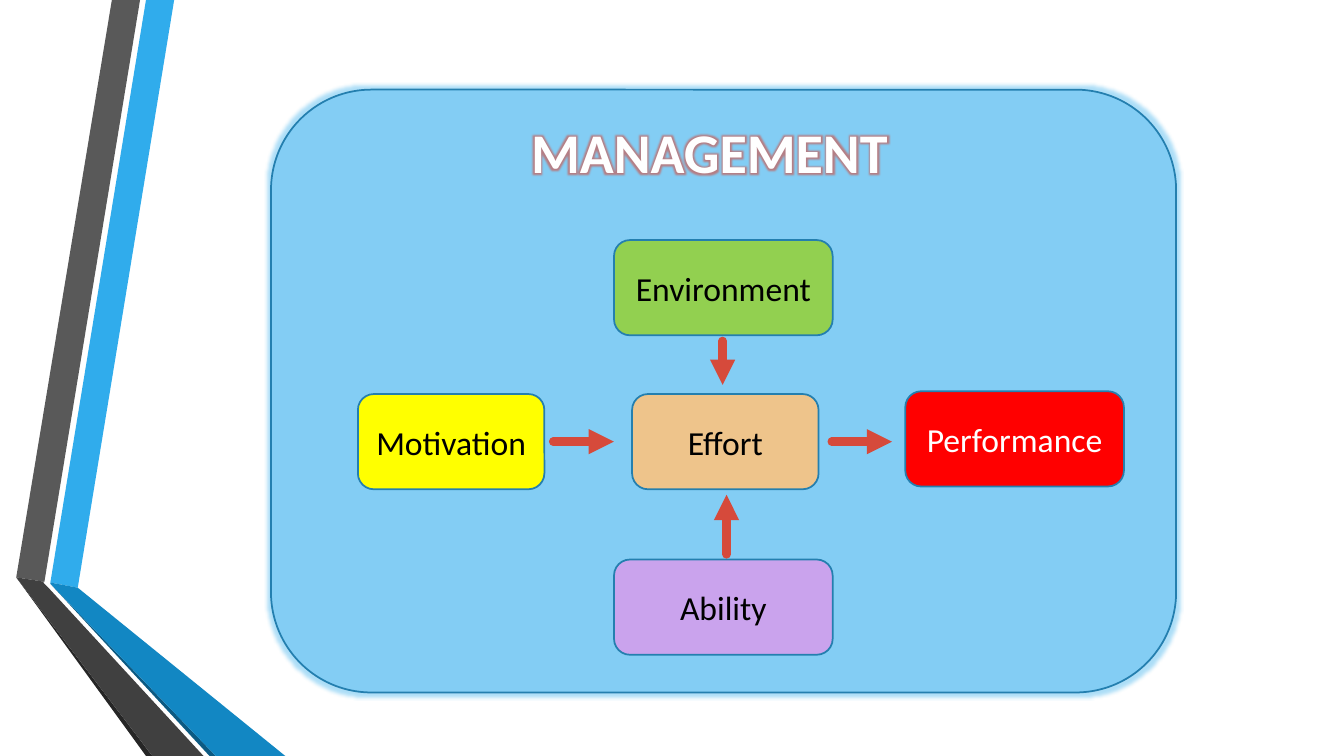
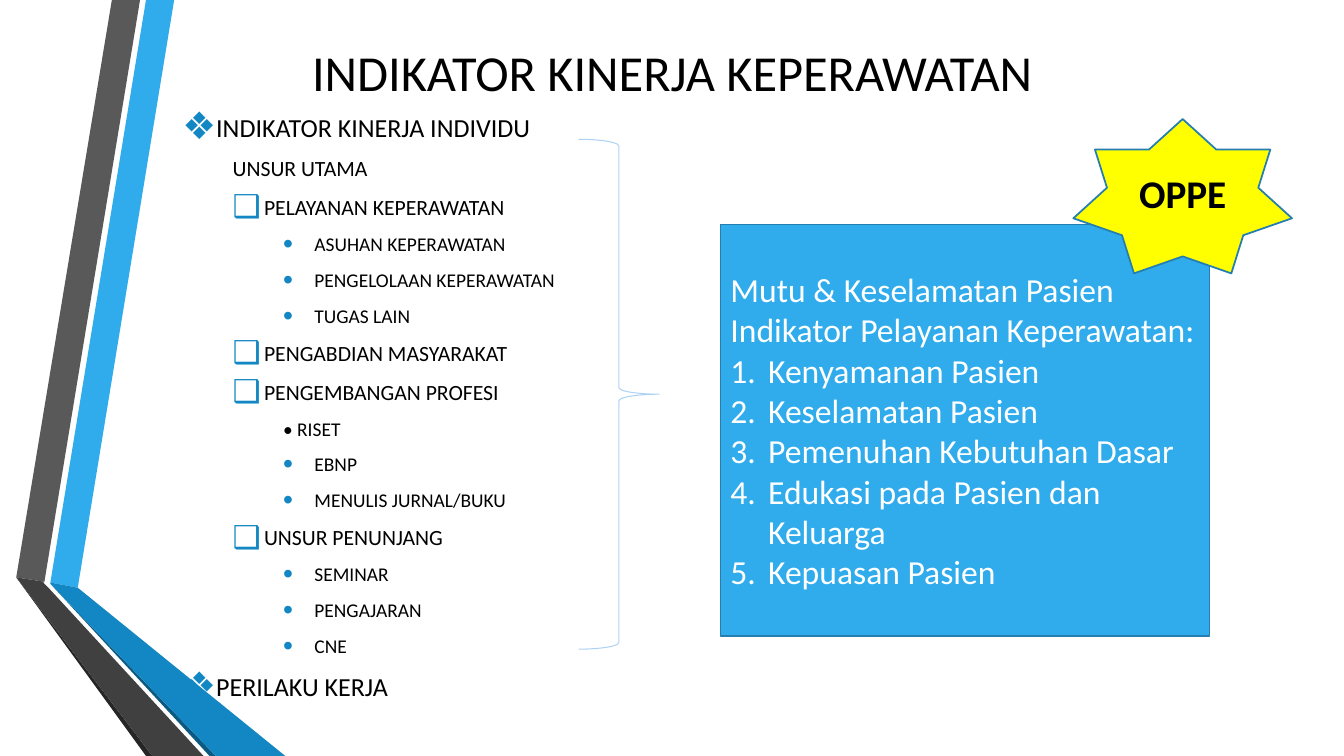
from dataclasses import dataclass

from pptx import Presentation
from pptx.dml.color import RGBColor
from pptx.enum.shapes import MSO_CONNECTOR, MSO_SHAPE
from pptx.enum.text import MSO_ANCHOR, MSO_AUTO_SIZE, PP_ALIGN
from pptx.oxml import parse_xml
from pptx.oxml.ns import nsdecls, qn
from pptx.util import Cm, Pt

ROUND, RECT = MSO_SHAPE.ROUNDED_RECTANGLE, MSO_SHAPE.RECTANGLE
BRACE, STAR = MSO_SHAPE.RIGHT_BRACE, MSO_SHAPE.STAR_7_POINT
STRAIGHT = MSO_CONNECTOR.STRAIGHT
MIDDLE, NO_FIT = MSO_ANCHOR.MIDDLE, MSO_AUTO_SIZE.NONE
LEFT, CENTER = PP_ALIGN.LEFT, PP_ALIGN.CENTER


@dataclass(frozen=True)
class Theme:
    font: str = "Calibri"
    black: str = "000000"
    white: str = "FFFFFF"
    blue: str = "30ACEC"
    deep: str = "1287C3"
    navy: str = "0C5A82"
    edge: str = "247FAF"
    panel: str = "83CDF4"
    brace: str = "AED2F4"
    gray: str = "595959"
    dark: str = "404040"
    coal: str = "262626"
    red: str = "FF0000"
    rust: str = "D64A3B"
    yellow: str = "FFFF00"
    green: str = "92D050"
    violet: str = "CAA3ED"
    sand: str = "EEC48B"
    banner: float = 40
    title: float = 36
    badge: float = 28
    label: float = 24
    levels: tuple = (18.6, 15.5, 13.9)


T = Theme()

BANDS = [
    (T.blue, [(1.27, 14.68), (1.96, 14.81), (4.39, 0), (3.68, 0)]),
    (T.gray, [(3.53, 0), (2.82, 0), (0.41, 14.55), (1.12, 14.66)]),
    (T.coal, [(0.41, 14.55), (3.68, 19.05), (3.84, 19.05)]),
    (T.navy, [(1.27, 14.71), (5.28, 19.05), (5.44, 19.05)]),
    (T.deep, [(1.27, 14.71), (5.44, 19.05), (7.19, 19.05),
              (1.96, 14.81), (1.27, 14.68)]),
    (T.dark, [(5.13, 19.05), (1.22, 14.81), (1.09, 14.68),
              (1.12, 14.66), (0.41, 14.55), (3.84, 19.05)]),
]

# Text, fill, text colour, centre and width within the panel
NODES = [
    ("Motivation", T.yellow, T.black, 4.54, 8.87, 4.7),
    ("Environment", T.green, T.black, 11.4, 4.99, 5.51),
    ("Ability", T.violet, T.black, 11.4, 13.04, 5.51),
    ("Effort", T.sand, T.black, 11.45, 8.87, 4.7),
    ("Performance", T.red, T.white, 18.74, 8.8, 5.51),
]
NODE_H = 2.4

# Start and end within the panel
ARROWS = [
    (11.38, 6.33, 11.38, 7.44),
    (7.11, 8.87, 8.64, 8.87),
    (11.48, 11.71, 11.48, 10.21),
    (14.13, 8.87, 15.65, 8.87),
]

# Level, bullet, left margin, text
ITEMS = [
    (0, "❖", 0.79, "INDIKATOR KINERJA INDIVIDU"),
    (1, "", 1.27, "UNSUR UTAMA"),
    (1, "❑", 2.06, "PELAYANAN KEPERAWATAN"),
    (2, "•", 3.33, "ASUHAN KEPERAWATAN"),
    (2, "•", 3.33, "PENGELOLAAN KEPERAWATAN"),
    (2, "•", 3.33, "TUGAS LAIN"),
    (1, "❑", 2.06, "PENGABDIAN MASYARAKAT"),
    (1, "❑", 2.06, "PENGEMBANGAN PROFESI"),
    (2, "", 2.54, "• RISET"),
    (2, "•", 3.33, "EBNP"),
    (2, "•", 3.33, "MENULIS JURNAL/BUKU"),
    (1, "❑", 2.06, "UNSUR PENUNJANG"),
    (2, "•", 3.33, "SEMINAR"),
    (2, "•", 3.33, "PENGAJARAN"),
    (2, "•", 3.33, "CNE"),
    (0, "❖", 0.79, "PERILAKU KERJA"),
]

HEADS = ["Mutu & Keselamatan Pasien", "Indikator Pelayanan Keperawatan:"]
POINTS = ["Kenyamanan Pasien", "Keselamatan Pasien",
          "Pemenuhan Kebutuhan Dasar", "Edukasi pada Pasien dan Keluarga",
          "Kepuasan Pasien"]


def rgb(color):
    return RGBColor.from_string(color)


def node(tag, inner="", attrs=""):
    return parse_xml(f"<a:{tag} {nsdecls('a')} {attrs}>{inner}</a:{tag}>")


def glow(color, size, alpha):
    """Return the inner XML of a glow; size in points, alpha in percent."""
    return (f'<a:glow rad="{Pt(size)}"><a:srgbClr val="{color}">'
            f'<a:alpha val="{alpha * 1000}"/></a:srgbClr></a:glow>')


def style(para, size, color, align=LEFT, bold=False):
    para.alignment = align
    for run in para.runs:
        font = run.font
        font.name, font.size, font.bold = T.font, Pt(size), bold
        font.color.rgb = rgb(color)


def mark(para, left, hang, *parts):
    """Indent a paragraph and give it the bullet parts."""
    props = para._p.get_or_add_pPr()
    props.set("marL", str(Cm(left)))
    props.set("indent", str(-Cm(hang)))
    props.extend(parts)


def add_box(slide, kind, box, fill=None, line=T.edge, width=1.25):
    shape = slide.shapes.add_shape(kind, *map(Cm, box))
    shape.shadow.inherit = False
    if fill:
        shape.fill.solid()
        shape.fill.fore_color.rgb = rgb(fill)
    else:
        shape.fill.background()
    shape.line.color.rgb = rgb(line)
    shape.line.width = Pt(width)
    return shape


def add_label(shape, text, size, color, bold=False):
    frame = shape.text_frame
    frame.word_wrap = True
    frame.vertical_anchor = MIDDLE
    frame.text = text
    style(frame.paragraphs[0], size, color, CENTER, bold)


def add_arrow(slide, x1, y1, x2, y2):
    arrow = slide.shapes.add_connector(STRAIGHT, *map(Cm, (x1, y1, x2, y2)))
    arrow.line.color.rgb = rgb(T.rust)
    arrow.line.width = Pt(6)
    line = arrow.line._get_or_add_ln()
    line.set("cap", "rnd")
    line.append(node("tailEnd", attrs='type="triangle"'))
    arrow.element.spPr.append(node("effectLst"))


def set_place(holder, box):
    holder.left, holder.top, holder.width, holder.height = map(Cm, box)
    frame = holder.text_frame
    frame.auto_size = NO_FIT
    frame.vertical_anchor = MIDDLE
    return frame


def set_title(slide, text, box, size, color, align=CENTER, bold=False):
    frame = set_place(slide.shapes.title, box)
    frame.text = text
    style(frame.paragraphs[0], size, color, align, bold)
    return frame


def add_bands(deck, slide):
    """Draw the side bands and move them to the master, behind the rest."""
    tree = deck.slide_master.shapes.element
    for spot, (color, points) in enumerate(BANDS, 2):
        start, *rest = [(Cm(x), Cm(y)) for x, y in points]
        build = slide.shapes.build_freeform(*start)
        build.add_line_segments(rest, close=True)
        band = build.convert_to_shape()
        band.shadow.inherit = False
        band.fill.solid()
        band.fill.fore_color.rgb = rgb(color)
        band.line.fill.background()
        tree.insert(spot, band.element)


def add_model(slide, box):
    x, y = box[:2]
    panel = add_box(slide, ROUND, box, T.panel)
    effects = panel.element.spPr.find(qn("a:effectLst"))
    effects.append(node("glow", *split_glow(T.blue, 5, 40)))
    for text, fill, color, mid_x, mid_y, width in NODES:
        place = (x + mid_x - width / 2, y + mid_y - NODE_H / 2, width, NODE_H)
        add_label(add_box(slide, ROUND, place, fill), text, T.label, color)
    for x1, y1, x2, y2 in ARROWS:
        add_arrow(slide, x + x1, y + y1, x + x2, y + y2)
    frame = set_title(slide, "MANAGEMENT", (x + 6.3, y + 0.56, 10.19, 1.96),
                      T.banner, T.white, LEFT, True)
    props = frame.paragraphs[0].runs[0]._r.get_or_add_rPr()
    props.find(qn("a:solidFill")).addnext(
        node("effectLst", glow(T.rust, 5, 60)))
    slide.shapes.element.append(slide.shapes.title.element)


def split_glow(color, size, alpha):
    """Return content and attributes for a glow node."""
    inner = (f'<a:srgbClr val="{color}"><a:alpha val="{alpha * 1000}"/>'
             "</a:srgbClr>")
    return inner, f'rad="{Pt(size)}"'


def add_list(slide, box):
    frame = set_place(slide.placeholders[1], box)
    frame.text = "\n".join(item[-1] for item in ITEMS)
    for para, (level, sign, left, _) in zip(frame.paragraphs, ITEMS):
        para.level = level
        para.space_after = Pt(6)
        style(para, T.levels[level], T.black)
        if sign:
            mark(para, left, 0.79,
                 node("buClr", f'<a:srgbClr val="{T.deep}"/>'),
                 node("buSzPct", attrs='val="145000"'),
                 node("buFont", attrs='typeface="Arial"'),
                 node("buChar", attrs=f'char="{sign}"'))
        else:
            mark(para, left, 0, node("buNone"))


def add_goals(slide, box):
    x, y, width, _ = box
    frame = add_box(slide, RECT, box, T.blue).text_frame
    frame.word_wrap = True
    frame.vertical_anchor = MIDDLE
    frame.text = "\n".join(HEADS + POINTS)
    for para in frame.paragraphs:
        style(para, T.label, T.white)
    for para in frame.paragraphs[len(HEADS):]:
        mark(para, 0.95, 0.95, node("buFont", attrs='typeface="+mj-lt"'),
             node("buAutoNum", attrs='type="arabicPeriod"'))
    star = add_box(slide, STAR, (x + width - 3.43, y - 2.66, 5.51, 3.89),
                   T.yellow)
    add_label(star, "OPPE", T.badge, T.black, True)


def main():
    deck = Presentation()
    deck.slide_width, deck.slide_height = Cm(33.87), Cm(19.05)

    model = deck.slides.add_slide(deck.slide_layouts[5])
    add_bands(deck, model)
    add_model(model, (6.83, 2.26, 22.81, 15.19))

    index = deck.slides.add_slide(deck.slide_layouts[1])
    set_title(index, "INDIKATOR KINERJA KEPERAWATAN",
              (2.34, 1.02, 29.21, 1.55), T.title, T.black)
    add_list(index, (4.34, 3.35, 27.18, 13.79))
    add_box(index, BRACE, (14.58, 3.51, 2.03, 12.85), None, T.brace, 0.75)
    add_goals(index, (18.16, 5.66, 12.32, 10.36))

    deck.save("out.pptx")


if __name__ == "__main__":
    main()
